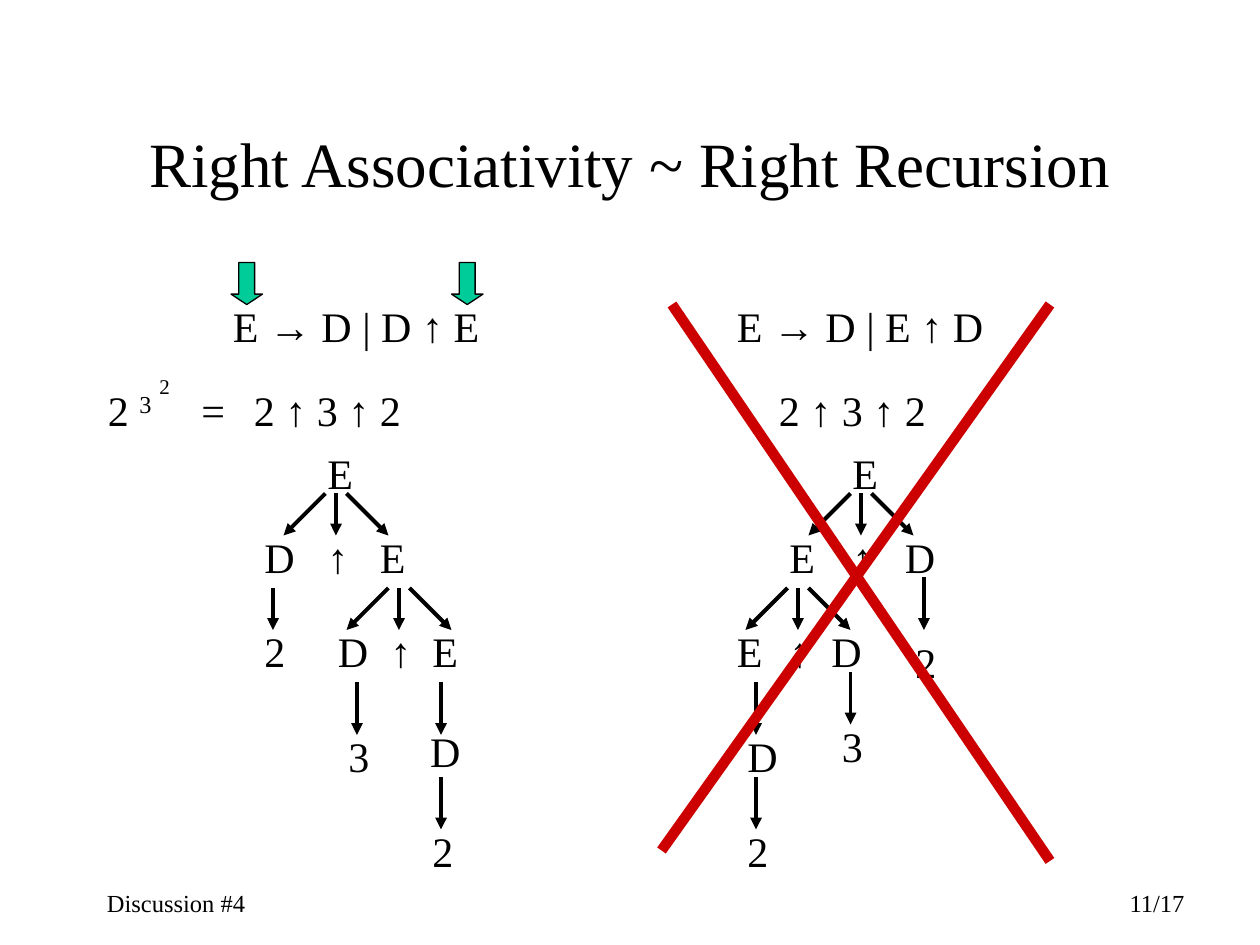
from itertools import groupby

from lxml import etree
from pptx import Presentation
from pptx.dml.color import RGBColor
from pptx.enum.shapes import MSO_CONNECTOR, MSO_SHAPE
from pptx.enum.text import MSO_ANCHOR, PP_ALIGN
from pptx.oxml.ns import qn
from pptx.util import Cm, Pt

STRAIGHT = MSO_CONNECTOR.STRAIGHT
DOWN_ARROW = MSO_SHAPE.DOWN_ARROW
LEFT, CENTER, RIGHT = PP_ALIGN.LEFT, PP_ALIGN.CENTER, PP_ALIGN.RIGHT
TOP, MIDDLE = MSO_ANCHOR.TOP, MSO_ANCHOR.MIDDLE
TITLE_ONLY = 5

THEME = {
    "font": "Times New Roman", "symbol_font": "Arial",
    "ink": RGBColor(0, 0, 0), "marker": RGBColor(0x00, 0xCC, 0x99),
    "cross": RGBColor(0xCC, 0x00, 0x00),
    "title": 36, "body": 24, "footer": 14, "exponent": 12,
    "edge": 2.25, "outline": 0.75, "cross_line": 6,
}

# Content: all positions are in grid steps, twelve steps to 2.54 cm
GRID = Cm(2.54) / 12
SYMBOLS = "→↑"
TITLE = ("Right Associativity ~ Right Recursion", (9, 8, 102, 15))
FOOTERS = [("Discussion #4", (9, 84, 25, 4), LEFT),
           ("11/17", (89, 84, 25, 4), RIGHT)]
FORMULAS = [  # text, left, top, width
    ("E → D | D ↑ E", 21, 28, 30), ("E → D | E ↑ D", 69, 28, 30),
    ("2 ↑ 3 ↑ 2", 23, 36, 20), ("2 ↑ 3 ↑ 2", 73, 36, 20),
    ("=", 18, 36, 4.8),
]
TREES = [
    {   # right recursion
        "nodes": [("E", 30, 42), ("D", 24, 50), ("↑", 30, 50), ("E", 35, 50),
                  ("2", 24, 59), ("D", 31, 59), ("↑", 36, 59), ("E", 40, 59),
                  ("3", 32, 69), ("D", 39.8, 68.5), ("2", 40, 78)],
        "fans": [(32, 47), (38, 56)],
        "drops": [(26, 56, 4), (34, 65, 5), (42, 65, 5), (42, 74, 5)],
    },
    {   # left recursion
        "nodes": [("E", 80, 42), ("E", 74, 50), ("↑", 80, 50), ("D", 85, 50),
                  ("E", 69, 59), ("↑", 74, 59), ("D", 78, 59), ("2", 86, 60),
                  ("D", 70, 69), ("3", 79, 68), ("2", 70, 78)],
        "fans": [(82, 47), (76, 56)],
        "drops": [(88, 55, 5), (81, 64, 5), (72, 65, 5), (72, 74, 5)],
    },
]
MARKERS = [(22, 25, 3, 4), (43, 25, 3, 4)]
CROSS = [(100, 29, 63, 81), (64, 29, 100, 82)]


def steps(*values):
    return [round(value * GRID) for value in values]


def add_run(paragraph, text, size, font):
    run = paragraph.add_run()
    run.text = text
    for name, value in {"name": font, "size": Pt(size), "bold": False}.items():
        setattr(run.font, name, value)
    run.font.color.rgb = THEME["ink"]
    return run


def write(shape, text, size, align=LEFT, anchor=TOP):
    frame = shape.text_frame
    frame.word_wrap = True
    frame.vertical_anchor = anchor
    paragraph = frame.paragraphs[0]
    paragraph.alignment = align
    for is_symbol, characters in groupby(text, lambda character: character in SYMBOLS):
        font = THEME["symbol_font" if is_symbol else "font"]
        add_run(paragraph, "".join(characters), size, font)
    return paragraph


def add_text(slide, text, box, size=THEME["body"], align=LEFT):
    return write(slide.shapes.add_textbox(*steps(*box)), text, size, align)


def add_line(slide, ends, color, width, arrow=False):
    connector = slide.shapes.add_connector(STRAIGHT, *steps(*ends))
    connector.line.color.rgb = color
    connector.line.width = Pt(width)
    if arrow:
        line = connector.line._get_or_add_ln()
        etree.SubElement(line, qn("a:tailEnd"), type="triangle")
    etree.SubElement(connector._element.spPr, qn("a:effectLst"))


def add_tree(slide, tree):
    for text, left, top in tree["nodes"]:
        add_text(slide, text, (left, top, 6, 6))
    # A fan sends three arrows down: left, straight and right
    edges = [(x + side, y, x + 5 * side, y + 4)
             for x, y in tree["fans"] for side in (-1, 0, 1)]
    edges += [(x, y, x, y + length) for x, y, length in tree["drops"]]
    for edge in edges:
        add_line(slide, edge, THEME["ink"], THEME["edge"], arrow=True)


def add_marker(slide, box):
    marker = slide.shapes.add_shape(DOWN_ARROW, *steps(*box))
    marker.adjustments[0], marker.adjustments[1] = 0.5, 0.33
    marker.shadow.inherit = False
    marker.fill.solid()
    marker.fill.fore_color.rgb = THEME["marker"]
    marker.line.color.rgb = THEME["ink"]
    marker.line.width = Pt(THEME["outline"])


def main():
    presentation = Presentation()
    presentation.slide_width, presentation.slide_height = Cm(25.4), Cm(19.05)
    slide = presentation.slides.add_slide(presentation.slide_layouts[TITLE_ONLY])

    # Title and footers
    text, box = TITLE
    title = slide.shapes.title
    title.left, title.top, title.width, title.height = steps(*box)
    write(title, text, THEME["title"], CENTER, MIDDLE)
    for text, box, align in FOOTERS:
        add_text(slide, text, box, THEME["footer"], align)

    # Grammars, expressions and the stacked power
    for text, left, top, width in FORMULAS:
        add_text(slide, text, (left, top, width, 6))
    power = add_text(slide, "2 ", (9.1, 36, 7, 6))
    exponent = add_run(power, "3", THEME["body"], THEME["font"])
    exponent._r.get_or_add_rPr().set("baseline", "30000")
    add_text(slide, "2", (14, 35, 3.5, 3.6), THEME["exponent"])

    # Parse trees, markers, and the cross over the wrong tree
    for tree in TREES:
        add_tree(slide, tree)
    for box in MARKERS:
        add_marker(slide, box)
    for ends in CROSS:
        add_line(slide, ends, THEME["cross"], THEME["cross_line"])

    presentation.save("out.pptx")


if __name__ == "__main__":
    main()
